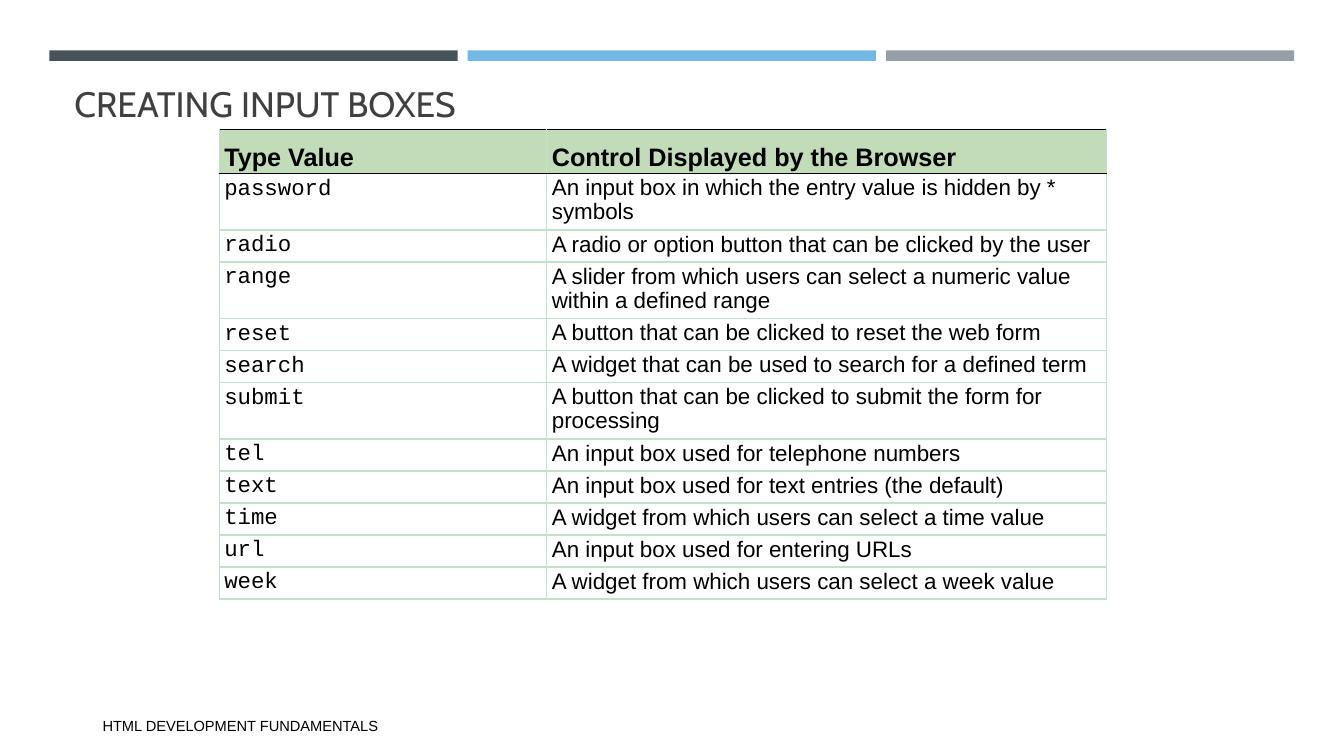
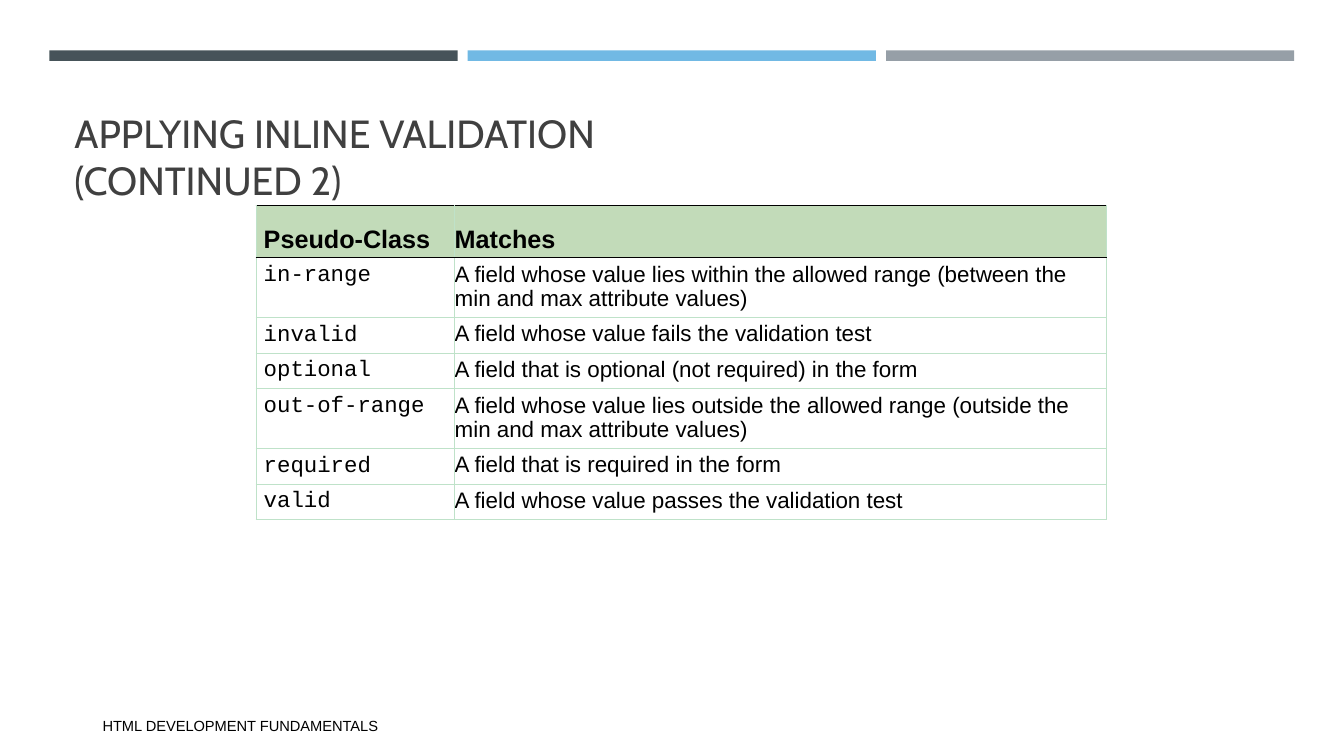
from dataclasses import dataclass
from math import ceil

from lxml.etree import SubElement
from pptx import Presentation
from pptx.dml.color import RGBColor as RGB
from pptx.enum.shapes import MSO_SHAPE as Preset
from pptx.enum.text import MSO_ANCHOR as Anchor, PP_ALIGN as Align
from pptx.oxml.ns import qn
from pptx.util import Pt


@dataclass(frozen=True)
class Theme:
    bands: tuple = ("465359", "71B9E4", "969FA7")
    title: str = "404040"
    ink: str = "000000"
    paper: str = "FFFFFF"
    header: str = "C2DBB9"
    grid: str = "BFE2C9"
    title_font: str = "Cabin"
    body_font: str = "Arial"
    code_font: str = "Courier New"
    header_size: float = 18
    body_size: float = 16
    footer_size: float = 10.5
    body_spacing: float = 0.97
    chars_per_line: int = 56


@dataclass(frozen=True)
class Box:
    left: float
    top: float
    width: float
    height: float = 0

    def lengths(self):
        return Pt(self.left), Pt(self.top), Pt(self.width), Pt(self.height)


@dataclass(frozen=True)
class TableLook:
    """Column and row sizes and cell margins (left, top, right, bottom)."""
    columns: tuple
    header_height: float
    line_heights: tuple
    header_margins: tuple
    body_margins: tuple
    second_left: float


THEME = Theme()
FOOTER = "HTML DEVELOPMENT FUNDAMENTALS"
BAND_BOX = Box(35.3, 36, 889.2, 7.5)
BAND_GAP = 7.2
FOOTER_BOX = Box(66.2, 504, 693.4, 28.8)

INPUT_LOOK = TableLook((234, 399.6), 31.4, (22.85, 40.4),
                       (3.6, 8.6, 3.6, 1.4), (3.6, 2.2, 3.6, 2.2), 3.6)
INPUT_ROWS = [
    ("Type Value", "Control Displayed by the Browser"),
    ("password", "An input box in which the entry value is hidden by * symbols"),
    ("radio", "A radio or option button that can be clicked by the user"),
    ("range", "A slider from which users can select a numeric value within a defined range"),
    ("reset", "A button that can be clicked to reset the web form"),
    ("search", "A widget that can be used to search for a defined term"),
    ("submit", "A button that can be clicked to submit the form for processing"),
    ("tel", "An input box used for telephone numbers"),
    ("text", "An input box used for text entries (the default)"),
    ("time", "A widget from which users can select a time value"),
    ("url", "An input box used for entering URLs"),
    ("week", "A widget from which users can select a week value"),
]

VALIDATION_LOOK = TableLook((141.8, 465.8), 37.2, (25.4, 42.8),
                            (5.4, 13.5, 5.4, 2.7), (5.4, 3.6, 5.4, 3.6), 0)
VALIDATION_ROWS = [
    ("Pseudo-Class", "Matches"),
    ("in-range", "A field whose value lies within the allowed range "
                 "(between the min and max attribute values)"),
    ("invalid", "A field whose value fails the validation test"),
    ("optional", "A field that is optional (not required) in the form"),
    ("out-of-range", "A field whose value lies outside the allowed range "
                     "(outside the min and max attribute values)"),
    ("required", "A field that is required in the form"),
    ("valid", "A field whose value passes the validation test"),
]


def style_text(frame, font_name, size, color, bold=False, spacing=None):
    for paragraph in frame.paragraphs:
        paragraph.alignment = Align.LEFT
        if spacing:
            paragraph.line_spacing = spacing
        for run in paragraph.runs:
            run.font.name = font_name
            run.font.size = Pt(size)
            run.font.bold = bold
            run.font.color.rgb = RGB.from_string(color)


def add_bands(slide, box):
    count = len(THEME.bands)
    width = (box.width - BAND_GAP * (count - 1)) / count
    for index, color in enumerate(THEME.bands):
        left = box.left + index * (width + BAND_GAP)
        band = slide.shapes.add_shape(
            Preset.RECTANGLE, *Box(left, box.top, width, box.height).lengths())
        band.shadow.inherit = False
        band.fill.solid()
        band.fill.fore_color.rgb = RGB.from_string(color)
        band.line.fill.background()


def add_title(slide, box, text, size):
    title = slide.shapes.title
    title.left, title.top, title.width, title.height = box.lengths()
    frame = title.text_frame
    frame.text = text
    frame.word_wrap = True
    frame.vertical_anchor = Anchor.BOTTOM
    style_text(frame, THEME.title_font, size, THEME.title)


def add_footer(slide, box):
    frame = slide.shapes.add_textbox(*box.lengths()).text_frame
    frame.text = FOOTER
    frame.word_wrap = True
    frame.vertical_anchor = Anchor.MIDDLE
    style_text(frame, THEME.body_font, THEME.footer_size, THEME.ink)


def set_borders(cell, top, bottom):
    """Rule all four sides; the schema wants them ahead of the fill."""
    properties = cell._tc.get_or_add_tcPr()
    sides = (("L", THEME.grid), ("R", THEME.grid), ("T", top), ("B", bottom))
    for position, (side, color) in enumerate(sides):
        border = SubElement(properties, qn(f"a:ln{side}"), w=str(Pt(1)))
        fill = SubElement(border, qn("a:solidFill"))
        SubElement(fill, qn("a:srgbClr"), val=color)
        properties.insert(position, border)


def fill_cell(cell, text, look, row, column):
    is_header = row == 0
    margins = look.header_margins if is_header else look.body_margins
    left, top, right, bottom = margins
    cell.margin_left = Pt(look.second_left if column else left)
    cell.margin_top, cell.margin_right, cell.margin_bottom = Pt(top), Pt(right), Pt(bottom)
    cell.vertical_anchor = Anchor.BOTTOM if is_header else Anchor.TOP
    cell.fill.solid()
    cell.fill.fore_color.rgb = RGB.from_string(THEME.header if is_header else THEME.paper)
    set_borders(cell, THEME.ink if row <= 1 else THEME.grid,
                THEME.ink if is_header else THEME.grid)
    cell.text_frame.text = text
    if is_header:
        style_text(cell.text_frame, THEME.body_font, THEME.header_size, THEME.ink, bold=True)
    elif column == 0:
        style_text(cell.text_frame, THEME.code_font, THEME.body_size, THEME.ink)
    else:
        style_text(cell.text_frame, THEME.body_font, THEME.body_size, THEME.ink,
                   spacing=THEME.body_spacing)


def add_reference_table(slide, left, top, rows, look):
    heights = [look.header_height] + [
        look.line_heights[ceil(len(meaning) / THEME.chars_per_line) - 1]
        for _, meaning in rows[1:]]
    box = Box(left, top, sum(look.columns), sum(heights))
    table = slide.shapes.add_table(len(rows), len(look.columns), *box.lengths()).table
    table.horz_banding = False
    for column, width in zip(table.columns, look.columns):
        column.width = Pt(width)
    for row, texts in enumerate(rows):
        table.rows[row].height = Pt(heights[row])
        for column, text in enumerate(texts):
            fill_cell(table.cell(row, column), text, look, row, column)


def add_table_slide(prs, title, title_box, title_size, table_at, rows, look):
    slide = prs.slides.add_slide(prs.slide_layouts.get_by_name("Title Only"))
    add_bands(slide, BAND_BOX)
    add_title(slide, title_box, title, title_size)
    add_reference_table(slide, *table_at, rows, look)
    add_footer(slide, FOOTER_BOX)


def main():
    prs = Presentation()
    prs.slide_width, prs.slide_height = Pt(960), Pt(540)
    add_table_slide(prs, "CREATING INPUT BOXES", Box(46, 55.4, 868.3, 37.4), 25.2,
                    (156.6, 92.5), INPUT_ROWS, INPUT_LOOK)
    add_table_slide(prs, "APPLYING INLINE VALIDATION\v(CONTINUED 2)",
                    Box(46, 55.4, 868.3, 93.6), 28,
                    (183, 146.9), VALIDATION_ROWS, VALIDATION_LOOK)
    prs.save("out.pptx")


if __name__ == "__main__":
    main()
